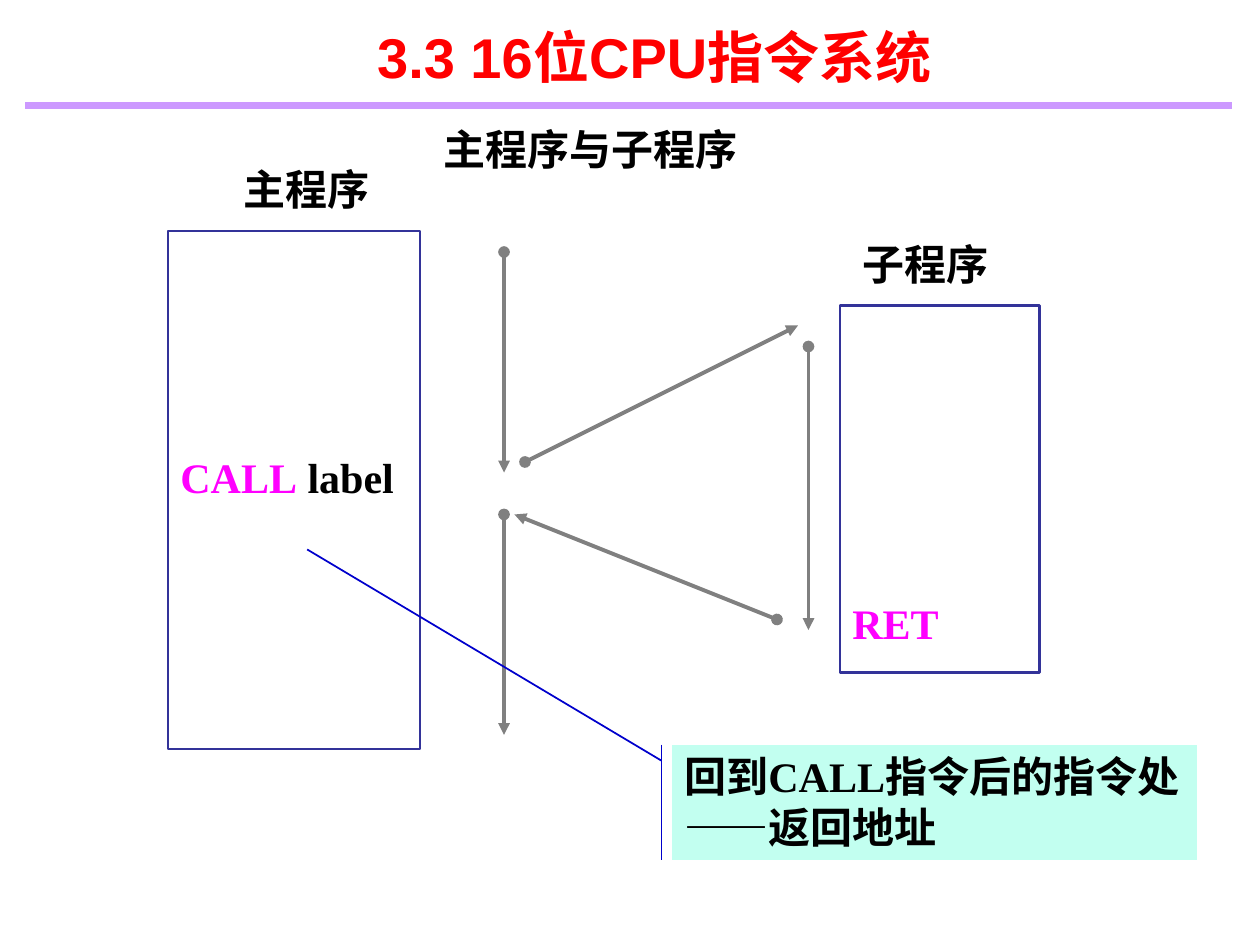
"""Build the slide on main programs and subroutines of a 16-bit CPU."""
from pptx import Presentation
from pptx import util as u
from pptx.dml.color import RGBColor
from pptx.enum import shapes, text
from pptx.oxml import ns
from lxml import etree

BLACK = RGBColor(0x00, 0x00, 0x00)
RED = RGBColor(0xFF, 0x00, 0x00)
MAGENTA = RGBColor(0xFF, 0x00, 0xFF)
LILAC = RGBColor(0xCC, 0x99, 0xFF)
NAVY = RGBColor(0x33, 0x33, 0x99)
BLUE = RGBColor(0x00, 0x00, 0xCC)
GRAY = RGBColor(0x80, 0x80, 0x80)
MINT = RGBColor(0xC2, 0xFF, 0xF0)
SERIF = "Times New Roman"
SANS = "Arial"


def write(shape, *pieces, font=SERIF, size=24, align=text.PP_ALIGN.LEFT,
          anchor=text.MSO_ANCHOR.TOP, inset_top=3.6):
    """Write (words, colour) pieces as one bold paragraph in the shape."""
    frame = shape.text_frame
    frame.word_wrap = True
    frame.auto_size = text.MSO_AUTO_SIZE.NONE
    frame.vertical_anchor = anchor
    frame.margin_left = frame.margin_right = u.Pt(7.2)
    frame.margin_top, frame.margin_bottom = u.Pt(inset_top), u.Pt(3.6)
    paragraph = frame.paragraphs[0]
    paragraph.alignment = align
    paragraph.space_before = u.Pt(0)
    for words, color in pieces:
        run = paragraph.add_run()
        run.text = words
        run.font.name, run.font.size, run.font.bold = font, u.Pt(size), True
        run.font.color.rgb = color


class Diagram:
    """Hold the slide and the drawing style."""

    def __init__(self, slide):
        self.slide = slide
        self.arrow_width = 2.25
        self.frame_width = 1.5

    def title(self, words, box):
        title = self.slide.shapes.title
        title.left, title.top, title.width, title.height = map(u.Pt, box)
        write(title, (words, BLACK), font=SANS, anchor=text.MSO_ANCHOR.MIDDLE)

    def label(self, words, box, color=BLACK, **style):
        write(self.slide.shapes.add_textbox(*map(u.Pt, box)), (words, color), **style)

    def line(self, start, end, color, width):
        connector = self.slide.shapes.add_connector(
            shapes.MSO_CONNECTOR.STRAIGHT, *map(u.Pt, start + end))
        connector.line.color.rgb = color
        connector.line.width = u.Pt(width)
        etree.SubElement(connector._element.spPr, ns.qn("a:effectLst"))
        return connector

    def arrow(self, start, end):
        outline = self.line(start, end, GRAY, self.arrow_width).line._get_or_add_ln()
        for tag, kind in (("a:headEnd", "oval"), ("a:tailEnd", "triangle")):
            etree.SubElement(outline, ns.qn(tag), type=kind)

    def shape(self, kind, box, line_color, line_width, fill=None):
        shape = self.slide.shapes.add_shape(kind, *map(u.Pt, box))
        shape.shadow.inherit = False
        if fill is None:
            shape.fill.background()
        else:
            shape.fill.solid()
            shape.fill.fore_color.rgb = fill
        shape.line.color.rgb = line_color
        shape.line.width = u.Pt(line_width)
        return shape

    def program(self, box, *pieces, inset_top):
        frame = self.shape(shapes.MSO_SHAPE.RECTANGLE, box, NAVY, self.frame_width)
        write(frame, *pieces, inset_top=inset_top)

    def callout(self, words, box, adjustments):
        callout = self.shape(shapes.MSO_SHAPE.LINE_CALLOUT_1_ACCENT_BAR, box, BLUE, 1, MINT)
        for index, value in enumerate(adjustments):
            callout.adjustments[index] = value
        write(callout, (words, BLACK))


def main():
    presentation = Presentation()
    presentation.slide_width, presentation.slide_height = u.Pt(720), u.Pt(540)
    diagram = Diagram(presentation.slides.add_slide(presentation.slide_layouts[5]))

    diagram.line((14.4, 60.3), (704, 60.3), LILAC, 4.25)
    diagram.title("主程序与子程序", (246.5, 65.5, 188, 39))
    diagram.label("3.3 16位CPU指令系统", (173, 15, 402, 34), RED, font=SANS, size=32,
                  align=text.PP_ALIGN.CENTER, anchor=text.MSO_ANCHOR.MIDDLE)

    diagram.label("主程序", (132, 90, 102, 36))
    diagram.program((96, 132, 144, 296), ("CALL", MAGENTA), (" label", BLACK), inset_top=126)
    diagram.label("子程序", (486, 132.5, 102, 36))
    diagram.program((480, 174.5, 114, 210), ("RET", MAGENTA), inset_top=167)

    for start, end in (
        ((288, 144), (288, 270)),
        ((300, 264), (456, 186)),
        ((462, 198), (462, 360)),
        ((444, 354), (294, 294)),
        ((288, 294), (288, 420)),
    ):
        diagram.arrow(start, end)

    diagram.callout("回到CALL指令后的指令处——返回地址", (384, 425.5, 300, 66),
                    (0.14, -0.02, -1.69, -0.695))
    presentation.save("out.pptx")


if __name__ == "__main__":
    main()
